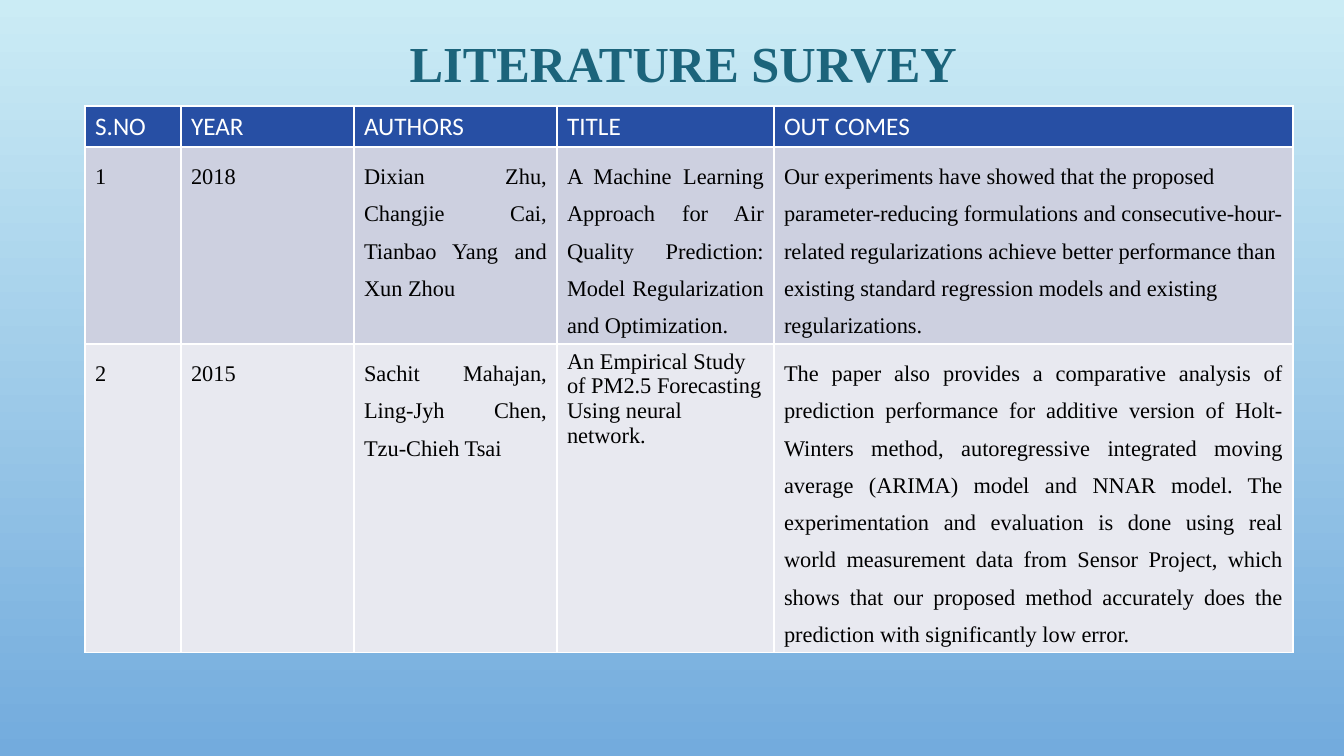
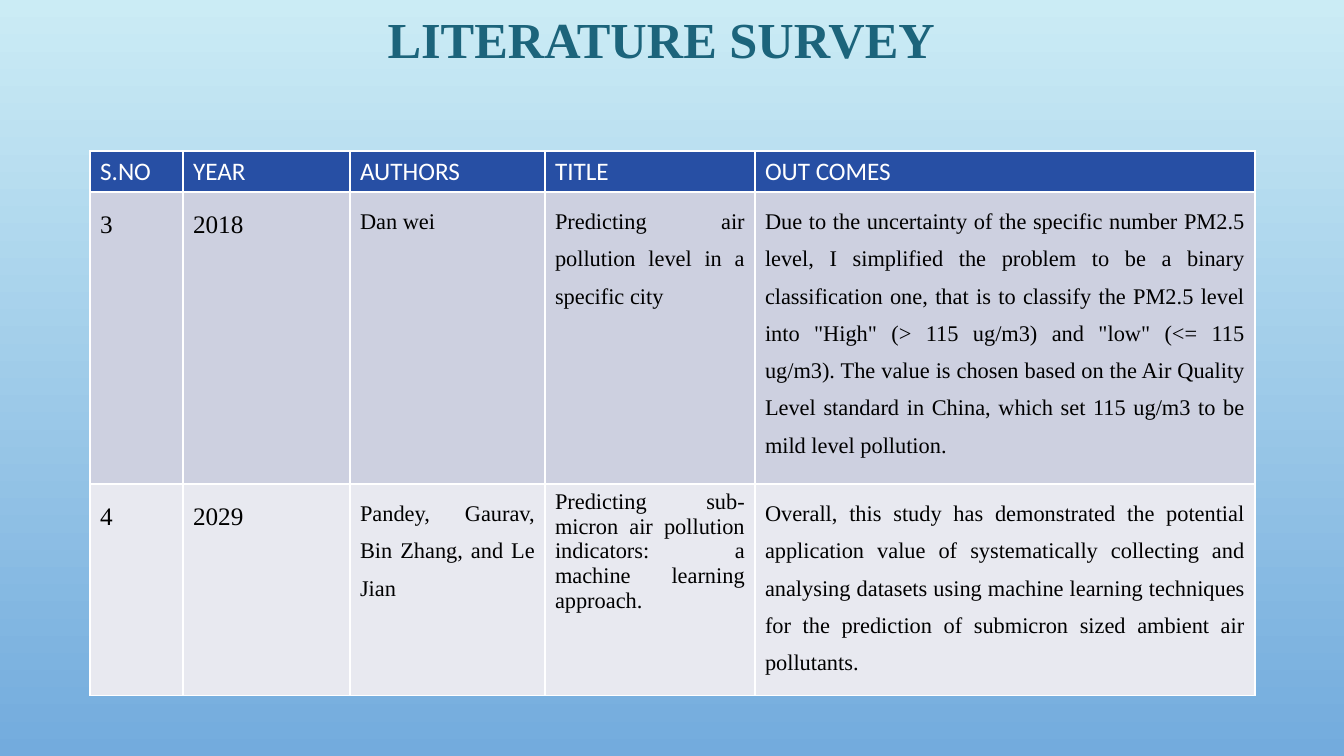
import pptx
import pptx.dml.color
import pptx.enum.text
import pptx.oxml
import pptx.oxml.ns
import pptx.util

RGBColor = pptx.dml.color.RGBColor
ALIGN = pptx.enum.text.PP_ALIGN

SKY = RGBColor(0xCB, 0xEC, 0xF5)
BLUE = RGBColor(0x73, 0xAB, 0xDD)
TEAL = RGBColor(0x1C, 0x64, 0x7B)
NAVY = RGBColor(0x27, 0x4F, 0xA4)
LAVENDER = RGBColor(0xCD, 0xD0, 0xE0)
PALE = RGBColor(0xE8, 0xE9, 0xF0)
WHITE = RGBColor(0xFF, 0xFF, 0xFF)
BLACK = RGBColor(0x00, 0x00, 0x00)

PX = 914400 / 100.8
SERIF = "Times New Roman"
TITLE = "LITERATURE SURVEY"
HEADINGS = ["S.NO", "YEAR", "AUTHORS", "TITLE", "OUT COMES"]
ROW_FILLS = [NAVY, LAVENDER, PALE]

TITLE_STYLE = {"size": 36, "name": SERIF, "color": TEAL, "bold": True,
               "alignment": ALIGN.CENTER, "line_spacing": 1.7}
HEADING_STYLE = {"size": 18, "name": "Calibri", "color": WHITE}
BODY_STYLE = {"size": 16, "name": SERIF, "color": BLACK,
              "alignment": ALIGN.JUSTIFY, "line_spacing": 1.5}

SURVEYS = [
    {
        "title_at": (159, -15),
        "table_at": (85, 106),
        "columns": [96, 173, 203, 217, 519],
        "heights": [41, 197, 308],
        "number_size": 16,
        "papers": [
            ["1", "2018", "Dixian Zhu, Changjie Cai, Tianbao Yang and Xun Zhou",
             "A Machine Learning Approach for Air Quality Prediction: Model "
             "Regularization and Optimization.",
             "Our experiments have showed that the proposed parameter-reducing "
             "formulations and consecutive-hour-related regularizations achieve "
             "better performance than existing standard regression models and "
             "existing regularizations."],
            ["2", "2015", "Sachit Mahajan, Ling-Jyh Chen, Tzu-Chieh Tsai",
             "An Empirical Study of PM2.5 Forecasting Using neural network.",
             "The paper also provides a comparative analysis of prediction "
             "performance for additive version of Holt-Winters method, "
             "autoregressive integrated moving average (ARIMA) model and NNAR "
             "model. The experimentation and evaluation is done using real world "
             "measurement data from Sensor Project, which shows that our proposed "
             "method accurately does the prediction with significantly low error."],
        ],
        "exceptions": {
            (1, 4): {"alignment": ALIGN.LEFT},
            (2, 3): {"alignment": ALIGN.LEFT, "line_spacing": 1.0},
        },
    },
    {
        "title_at": (137, -39),
        "table_at": (90, 151),
        "columns": [93, 167, 195, 210, 500],
        "heights": [41, 271, 197],
        "number_size": 18,
        "papers": [
            ["3", "2018", "Dan wei",
             "Predicting air pollution level in a specific city",
             "Due to the uncertainty of the specific number PM2.5 level, I "
             "simplified the problem to be a binary classification one, that is "
             "to classify the PM2.5 level into \"High\" (> 115 ug/m3) and \"low\" "
             "(<= 115 ug/m3). The value is chosen based on the Air Quality Level "
             "standard in China, which set 115 ug/m3 to be mild level pollution."],
            ["4", "2029", "Pandey, Gaurav, Bin Zhang, and Le Jian",
             "Predicting sub-micron air pollution indicators: a machine learning "
             "approach.",
             "Overall, this study has demonstrated the potential application value "
             "of systematically collecting and analysing datasets using machine "
             "learning techniques for the prediction of submicron sized ambient "
             "air pollutants."],
        ],
        "exceptions": {(2, 3): {"line_spacing": 1.0}},
    },
]


def px(*lengths):
    return [pptx.util.Emu(round(length * PX)) for length in lengths]


def write(para, text, style):
    span = para.add_run()
    span.text = text
    for key, value in style.items():
        if key == "color":
            span.font.color.rgb = value
        elif key == "size":
            span.font.size = pptx.util.Pt(value)
        elif key in ("alignment", "line_spacing"):
            setattr(para, key, value)
        else:
            setattr(span.font, key, value)


def add_borders(cell):
    properties = cell._tc.get_or_add_tcPr()
    for side in "LRTB":
        properties.append(pptx.oxml.parse_xml(
            f'<a:ln{side} {pptx.oxml.ns.nsdecls("a")} w="12700"><a:solidFill>'
            f'<a:srgbClr val="{WHITE}"/></a:solidFill></a:ln{side}>'))


def paint_background(page):
    fill = page.background.fill
    fill.gradient()
    fill.gradient_angle = 270
    for stop, color in zip(fill.gradient_stops, (SKY, BLUE)):
        stop.color.rgb = color


def add_title(page, left, top):
    box = page.shapes.add_textbox(*px(left, top, 948, 103))
    box.text_frame.word_wrap = True
    para = box.text_frame.paragraphs[0]
    para._p.get_or_add_pPr().set("marL", str(pptx.util.Inches(1)))
    write(para, TITLE, TITLE_STYLE)


def cell_style(survey, row, column):
    if row == 0:
        return HEADING_STYLE
    size = survey["number_size"] if column < 2 else BODY_STYLE["size"]
    return {**BODY_STYLE, "size": size,
            **survey["exceptions"].get((row, column), {})}


def add_survey_table(page, survey):
    rows = [HEADINGS] + survey["papers"]
    columns, heights = survey["columns"], survey["heights"]
    table = page.shapes.add_table(
        len(rows), len(columns),
        *px(*survey["table_at"], sum(columns), sum(heights))).table
    table.first_row = table.horz_banding = False
    for column, width in zip(table.columns, px(*columns)):
        column.width = width
    for row, height in zip(table.rows, px(*heights)):
        row.height = height
    for row, texts in enumerate(rows):
        for column, text in enumerate(texts):
            cell = table.cell(row, column)
            add_borders(cell)
            cell.fill.solid()
            cell.fill.fore_color.rgb = ROW_FILLS[row]
            write(cell.text_frame.paragraphs[0], text,
                  cell_style(survey, row, column))


def main():
    deck = pptx.Presentation()
    deck.slide_width, deck.slide_height = px(1344, 756)
    for survey in SURVEYS:
        page = deck.slides.add_slide(deck.slide_layouts[6])
        paint_background(page)
        add_survey_table(page, survey)
        add_title(page, *survey["title_at"])
    deck.save("out.pptx")


if __name__ == "__main__":
    main()
